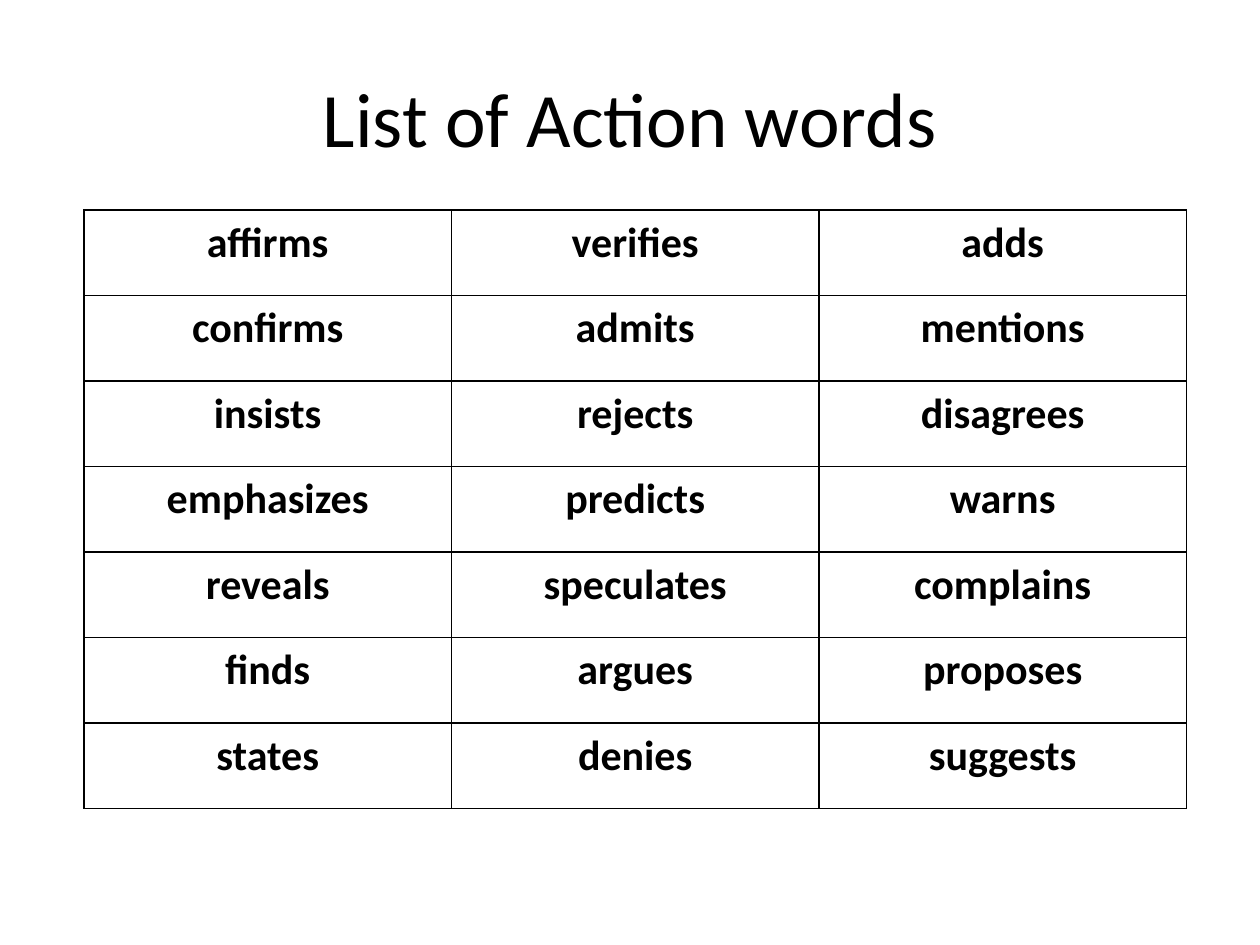
from lxml import etree
from pptx import Presentation
from pptx import util as u
from pptx.dml import color
from pptx.enum import text
from pptx.oxml import ns

FONT = "Calibri"
INK = "000000"
WORDS = [
    ["affirms", "verifies", "adds"],
    ["confirms", "admits", "mentions"],
    ["insists", "rejects", "disagrees"],
    ["emphasizes", "predicts", "warns"],
    ["reveals", "speculates", "complains"],
    ["finds", "argues", "proposes"],
    ["states", "denies", "suggests"],
]


def rgb(value):
    return color.RGBColor.from_string(value)


def share(deck, left, top, width, height):
    across, down = deck.slide_width, deck.slide_height
    return [int(part) for part in
            (left * across, top * down, width * across, height * down)]


def add_words(para, words, size, bold=False):
    para.alignment = text.PP_ALIGN.CENTER
    span = para.add_run()
    span.text = words
    span.font.name = FONT
    span.font.size = u.Pt(size)
    span.font.bold = bold
    span.font.color.rgb = rgb(INK)


def add_borders(cell):
    properties = cell._tc.get_or_add_tcPr()
    for index, side in enumerate(("lnL", "lnR", "lnT", "lnB")):
        line = etree.Element(ns.qn(f"a:{side}"), w=str(u.Pt(1)))
        fill = etree.SubElement(line, ns.qn("a:solidFill"))
        etree.SubElement(fill, ns.qn("a:srgbClr"), val=INK)
        properties.insert(index, line)


def add_title(page, box):
    frame = page.shapes.add_textbox(*box).text_frame
    frame.word_wrap = True
    frame.vertical_anchor = text.MSO_ANCHOR.MIDDLE
    add_words(frame.paragraphs[0], "List of Action words", 44)


def add_word_table(page, box):
    left, top, width, height = box
    table = page.shapes.add_table(len(WORDS), len(WORDS[0]), *box).table
    table.first_row = False
    table.horz_banding = False
    for column in table.columns:
        column.width = width // len(WORDS[0])
    for row, words in zip(table.rows, WORDS):
        row.height = height // len(WORDS)
        for cell, word in zip(row.cells, words):
            cell.fill.background()
            cell.margin_left = cell.margin_right = u.Inches(0.07)
            cell.margin_top = cell.margin_bottom = 0
            para = cell.text_frame.paragraphs[0]
            para.line_spacing = 1.15
            add_words(para, word, 24, bold=True)
            add_borders(cell)


def main():
    deck = Presentation()
    deck.slide_width, deck.slide_height = u.Inches(10), u.Inches(7.5)
    page = deck.slides.add_slide(deck.slide_layouts[6])
    page.background.fill.solid()
    page.background.fill.fore_color.rgb = rgb("FFFFFF")
    add_title(page, share(deck, 0.05, 0.04, 0.9, 1 / 6))
    add_word_table(page, share(deck, 1 / 15, 2 / 9, 7 / 8, 19 / 30))
    deck.save("out.pptx")


if __name__ == "__main__":
    main()
